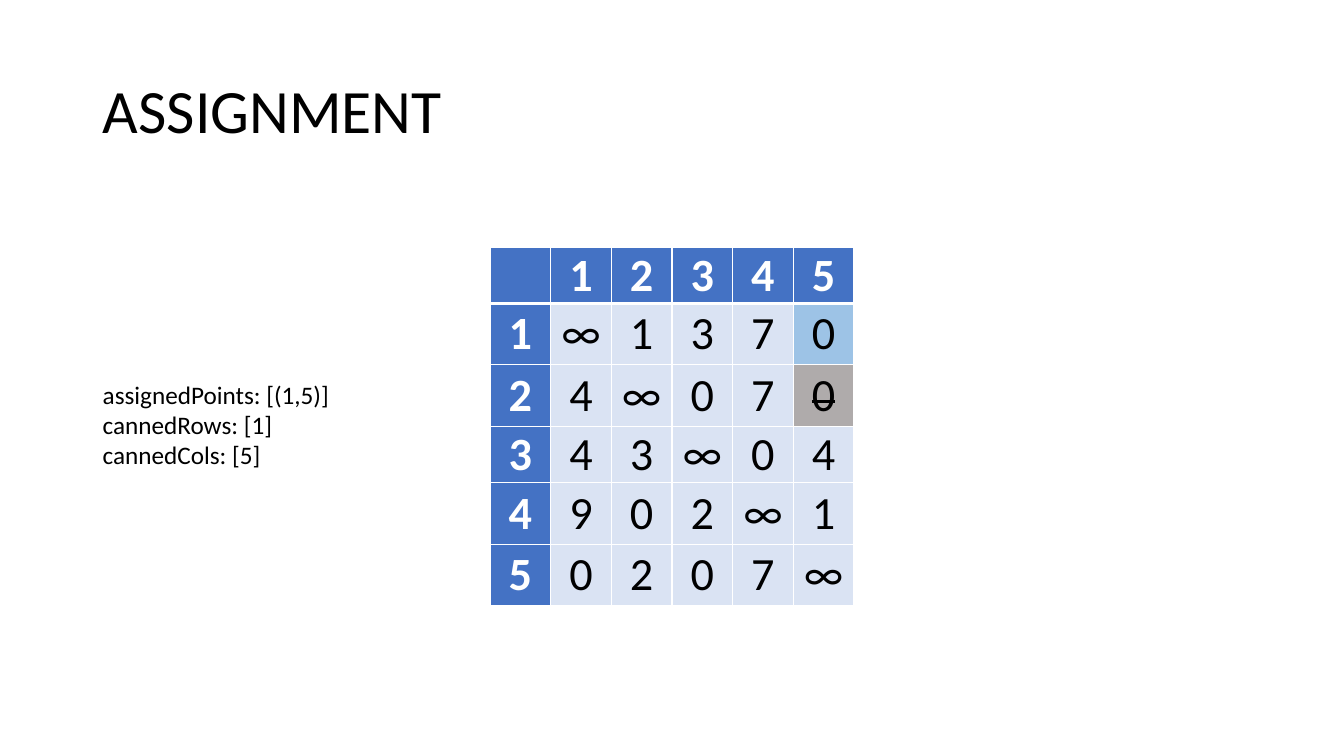
from lxml import etree
from pptx import Presentation
from pptx.dml.color import RGBColor
from pptx.enum.text import MSO_ANCHOR, PP_ALIGN
from pptx.oxml.ns import qn
from pptx.util import Inches, Pt

LEFT, CENTER = PP_ALIGN.LEFT, PP_ALIGN.CENTER
MIDDLE = MSO_ANCHOR.MIDDLE
COLORS = {"text": "000000", "white": "FFFFFF", "head": "4472C4",
          "body": "DAE3F3", "chosen": "9DC3E6", "struck": "AFABAB"}
SIDES = {"lnL": "margin_left", "lnR": "margin_right",
         "lnT": "margin_top", "lnB": "margin_bottom"}


def style(para, size, color="text", align=LEFT, bold=False):
    para.alignment = align
    for run in para.runs:
        looks = {"name": "Calibri", "size": Pt(size), "bold": bold}
        for key, value in looks.items():
            setattr(run.font, key, value)
        run.font.color.rgb = RGBColor.from_string(COLORS[color])


def border(cell, side, points):
    props = cell._tc.get_or_add_tcPr()
    line = etree.SubElement(props, qn("a:" + side), w=str(Pt(points)))
    fill = etree.SubElement(line, qn("a:solidFill"))
    etree.SubElement(fill, qn("a:srgbClr"), val=COLORS["white"])


prs = Presentation()
prs.slide_width, prs.slide_height = Inches(13.33), Inches(7.5)
slide = prs.slides.add_slide(prs.slide_layouts[5])

# Title
title = slide.shapes.title
place = {"left": 0.92, "top": 0.4, "width": 11.5, "height": 1.45}
for key, value in place.items():
    setattr(title, key, Inches(value))
title.text_frame.text = "ASSIGNMENT"
title.text_frame.vertical_anchor = MIDDLE
head = title.text_frame.paragraphs[0]
head.line_spacing = 0.9
style(head, 44)

# Cost matrix
costs = ["∞1370", "4∞070", "43∞04", "902∞1", "0207∞"]
rows = [" 12345"] + [f"{i}{row}" for i, row in enumerate(costs, 1)]
heights = [0.55, 0.61, 0.61, 0.55, 0.61, 0.61]
marks = {(1, 5): "chosen", (2, 5): "struck"}
frame = slide.shapes.add_table(6, 6, Inches(4.86), Inches(2.45),
                               Inches(3.61), Inches(sum(heights)))
table = frame.table
for col in table.columns:
    col.width = Inches(3.61 / 6)

for r, row in enumerate(rows):
    table.rows[r].height = Inches(heights[r])
    for c, mark in enumerate(row):
        cell = table.cell(r, c)
        label = r == 0 or c == 0
        cell.text = mark.strip()
        cell.vertical_anchor = MIDDLE
        for side, margin in SIDES.items():
            setattr(cell, margin, 0)
            thick = (r, side) in [(0, "lnB"), (1, "lnT")]
            border(cell, side, 3 if thick else 1)
        fill = "head" if label else marks.get((r, c), "body")
        cell.fill.solid()
        cell.fill.fore_color.rgb = RGBColor.from_string(COLORS[fill])
        para = cell.text_frame.paragraphs[0]
        style(para, 33, "white" if label else "text", CENTER, label)
        if fill == "struck":
            para.runs[0].font._element.set("strike", "sngStrike")

# Current state of the assignment
box = slide.shapes.add_textbox(Inches(0.92), Inches(3.71),
                               Inches(3.45), Inches(1.01))
box.text_frame.word_wrap = True
box.text_frame.text = "assignedPoints: [(1,5)]\ncannedRows: [1]\ncannedCols: [5]"
for para in box.text_frame.paragraphs:
    style(para, 18)

prs.save("out.pptx")
